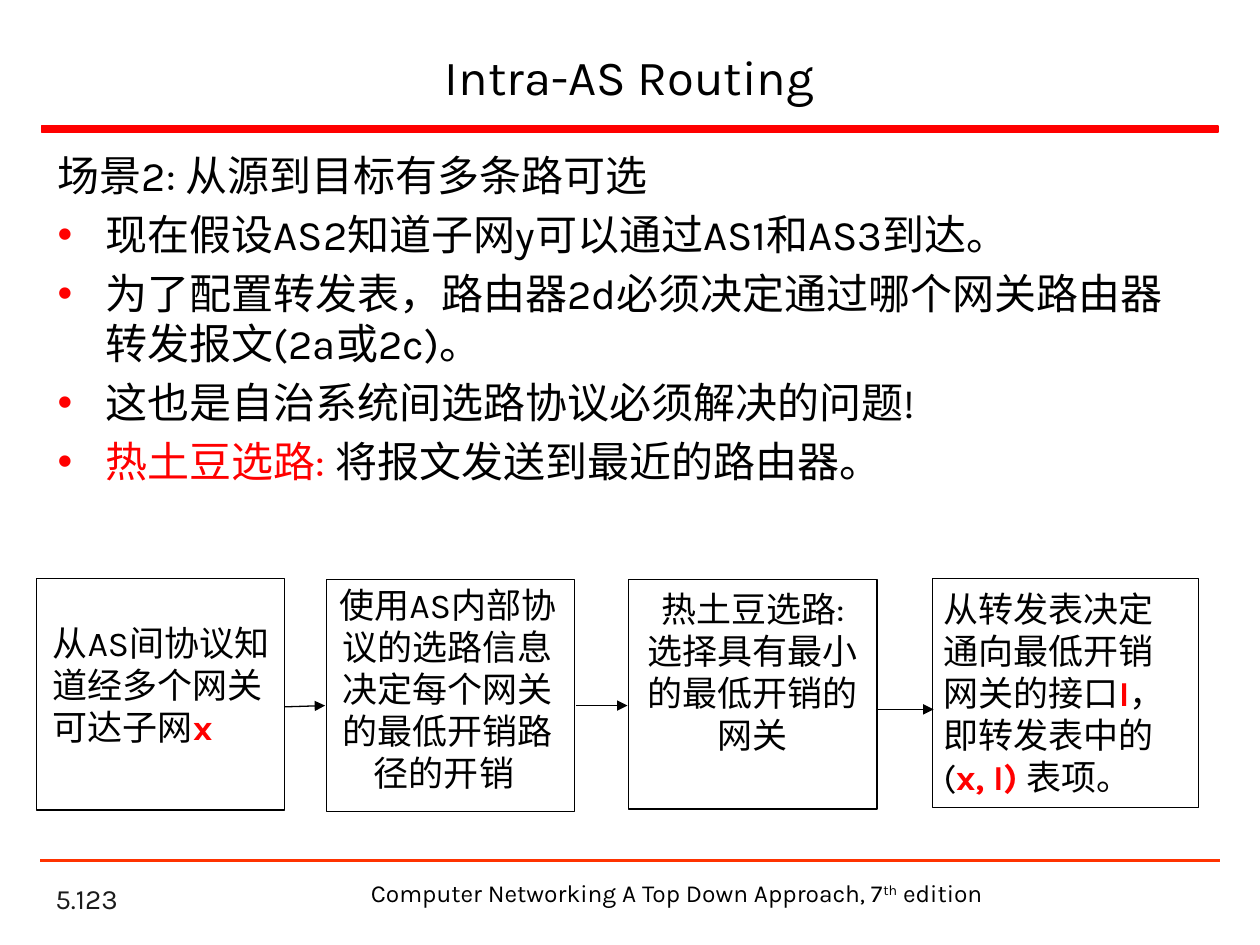
"""Build the Intra-AS Routing slide on hot-potato routing."""
from lxml.etree import SubElement
from pptx import Presentation
from pptx.dml.color import RGBColor
from pptx.enum.shapes import MSO_CONNECTOR, MSO_SHAPE
from pptx.enum.text import MSO_ANCHOR, PP_ALIGN
from pptx.oxml.ns import qn
from pptx.util import Inches, Pt

COLORS = {"text": "000000", "accent": "FF0000", "rule": "FF3300", "number": "1C1C1C"}
FONT = "Karla"

TITLE = [[("Intra-AS Routing", "")]]
NUMBER = [[("5.123", "")]]
FOOTER = [[("Computer Networking A Top Down Approach, 7", ""), ("th", "super"), (" edition", "")]]
SCENARIO = [
    [("场景2: 从源到目标有多条路可选", "")],
    [("现在假设AS2知道子网y可以通过AS1和AS3到达。", "")],
    [("为了配置转发表，路由器2d必须决定通过哪个网关路由器转发报文(2a或2c)。", "")],
    [("这也是自治系统间选路协议必须解决的问题!", "")],
    [("热土豆选路: ", "red"), ("将报文发送到最近的路由器。", "")],
]
STEPS = [
    {"box": (0.29, 4.59, 1.97, 1.84), "text": (0.32, 4.88, 2.02, 1.1), "align": PP_ALIGN.LEFT,
     "content": [[("从AS间协议知道经多个网关", "")], [("可达子网", ""), ("x", "strong")]]},
    {"box": (2.59, 4.6, 1.97, 1.84), "text": (2.56, 4.58, 1.99, 2.1), "align": PP_ALIGN.CENTER,
     "content": [[("使用AS内部协议的选路信息 决定每个网关的最低开销路径的开销 ", "")]]},
    {"box": (4.99, 4.6, 1.97, 1.82), "text": (4.99, 4.61, 1.97, 1.43), "align": PP_ALIGN.CENTER,
     "content": [[("热土豆选路:", "")], [("选择具有最小的最低开销的网关", "")]]},
    {"box": (7.4, 4.59, 2.11, 1.82), "text": (7.39, 4.61, 2.09, 1.77), "align": PP_ALIGN.LEFT,
     "content": [[("从转发表决定通向最低开销网关的接口", ""), ("I", "strong"), ("，即转发表中的(", ""),
                  ("x, I) ", "strong"), ("表项。", "")]]},
]
ARROWS = [(2.26, 5.61, 2.58, 5.6), (4.57, 5.6, 4.98, 5.6), (6.97, 5.63, 7.41, 5.63)]


def color(name):
    return RGBColor.from_string(COLORS[name])


def add_bullet(paragraph):
    properties = paragraph._p.get_or_add_pPr()
    properties.set("marL", str(Inches(0.38)))
    properties.set("indent", str(-Inches(0.38)))
    bullet_color = SubElement(properties, qn("a:buClr"))
    SubElement(bullet_color, qn("a:srgbClr"), val=COLORS["accent"])
    SubElement(properties, qn("a:buFont"), typeface="Arial")
    SubElement(properties, qn("a:buChar"), char="•")


def add_text(slide, position, content, size, align=PP_ALIGN.LEFT, anchor=MSO_ANCHOR.TOP,
             ink="text", bulleted=False):
    text_frame = slide.shapes.add_textbox(*map(Inches, position)).text_frame
    text_frame.word_wrap = True
    text_frame.vertical_anchor = anchor
    for index, pieces in enumerate(content):
        paragraph = text_frame.add_paragraph() if index else text_frame.paragraphs[0]
        paragraph.alignment = align
        if bulleted and index:
            paragraph.space_before = Pt(size * 0.2)
            add_bullet(paragraph)
        for text, style in pieces:
            run = paragraph.add_run()
            run.text = text
            run.font.name = FONT
            run.font.size = Pt(size)
            run.font.bold = style == "strong"
            run.font.color.rgb = color("accent" if style in ("red", "strong") else ink)
            if style == "super":
                run._r.get_or_add_rPr().set("baseline", "30000")


def add_rectangle(slide, position, line, width, fill=None):
    shape = slide.shapes.add_shape(MSO_SHAPE.RECTANGLE, *map(Inches, position))
    shape.shadow.inherit = False
    if fill:
        shape.fill.solid()
        shape.fill.fore_color.rgb = color(fill)
    else:
        shape.fill.background()
    shape.line.color.rgb = color(line)
    shape.line.width = Pt(width)


def add_line(slide, ends, ink, width, arrow=False):
    connector = slide.shapes.add_connector(MSO_CONNECTOR.STRAIGHT, *map(Inches, ends))
    connector.line.color.rgb = color(ink)
    connector.line.width = Pt(width)
    if arrow:
        SubElement(connector.line._get_or_add_ln(), qn("a:tailEnd"), type="triangle")
    SubElement(connector._element.spPr, qn("a:effectLst"))


def main():
    presentation = Presentation()
    presentation.slide_width = Inches(10)
    presentation.slide_height = Inches(7.5)
    slide = presentation.slides.add_slide(presentation.slide_layouts[6])

    add_text(slide, (0.34, 6.98, 2.08, 0.33), NUMBER, 16, anchor=MSO_ANCHOR.BOTTOM, ink="number")
    add_rectangle(slide, (0.33, 1, 9.34, 0.05), "accent", 1, fill="accent")
    add_line(slide, (0.32, 6.83, 9.68, 6.83), "rule", 1.5)
    add_text(slide, (2.83, 6.92, 5.08, 0.34), FOOTER, 14, PP_ALIGN.CENTER)
    add_text(slide, (0.37, 0.25, 9.25, 0.7), TITLE, 28, PP_ALIGN.CENTER, MSO_ANCHOR.MIDDLE)
    add_text(slide, (0.36, 1.14, 9.28, 5.6), SCENARIO, 24, bulleted=True)

    for step in STEPS:
        add_rectangle(slide, step["box"], "text", 0.75)
        add_text(slide, step["text"], step["content"], 20, step["align"])
    for ends in ARROWS:
        add_line(slide, ends, "text", 0.75, arrow=True)

    presentation.save("out.pptx")


if __name__ == "__main__":
    main()
